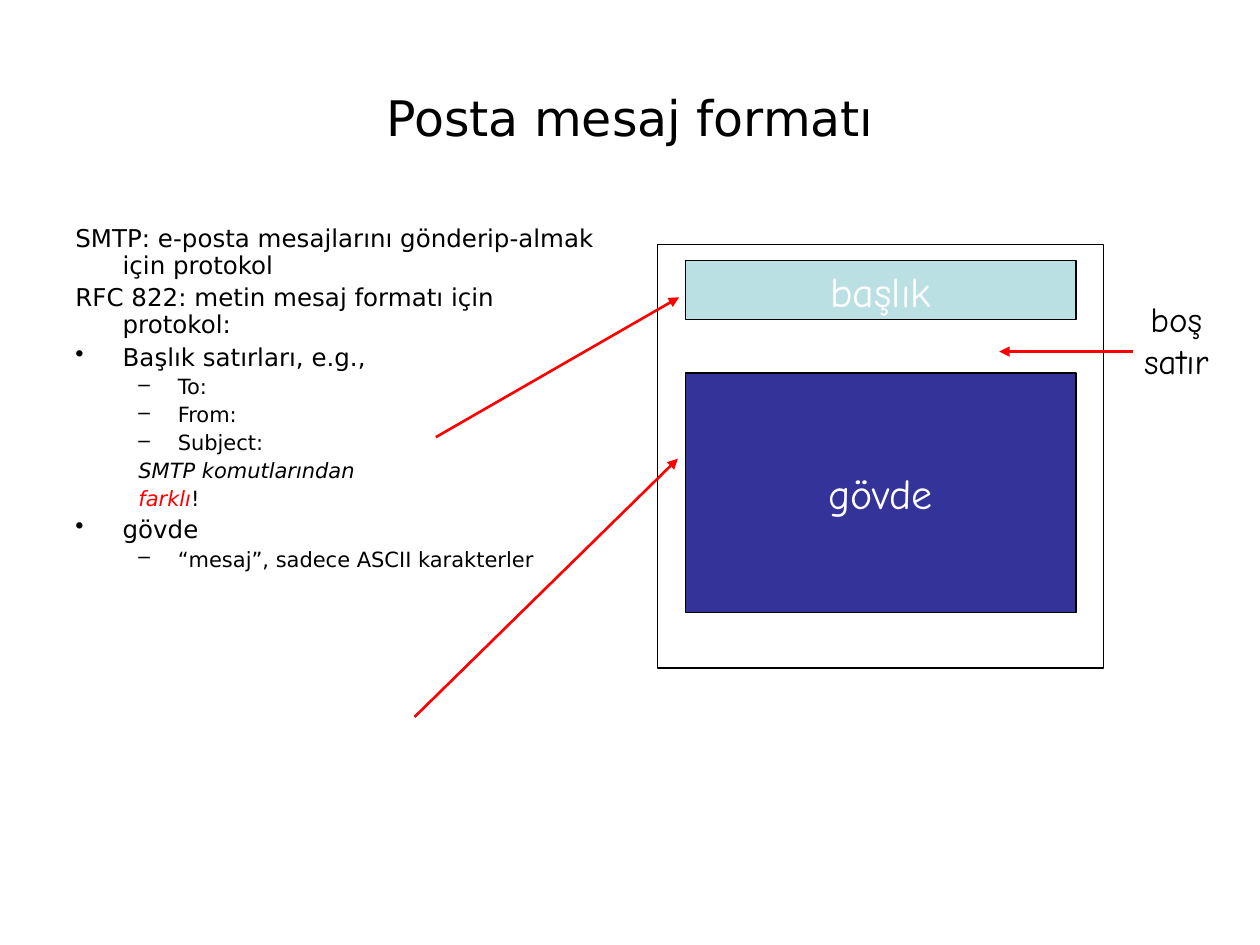
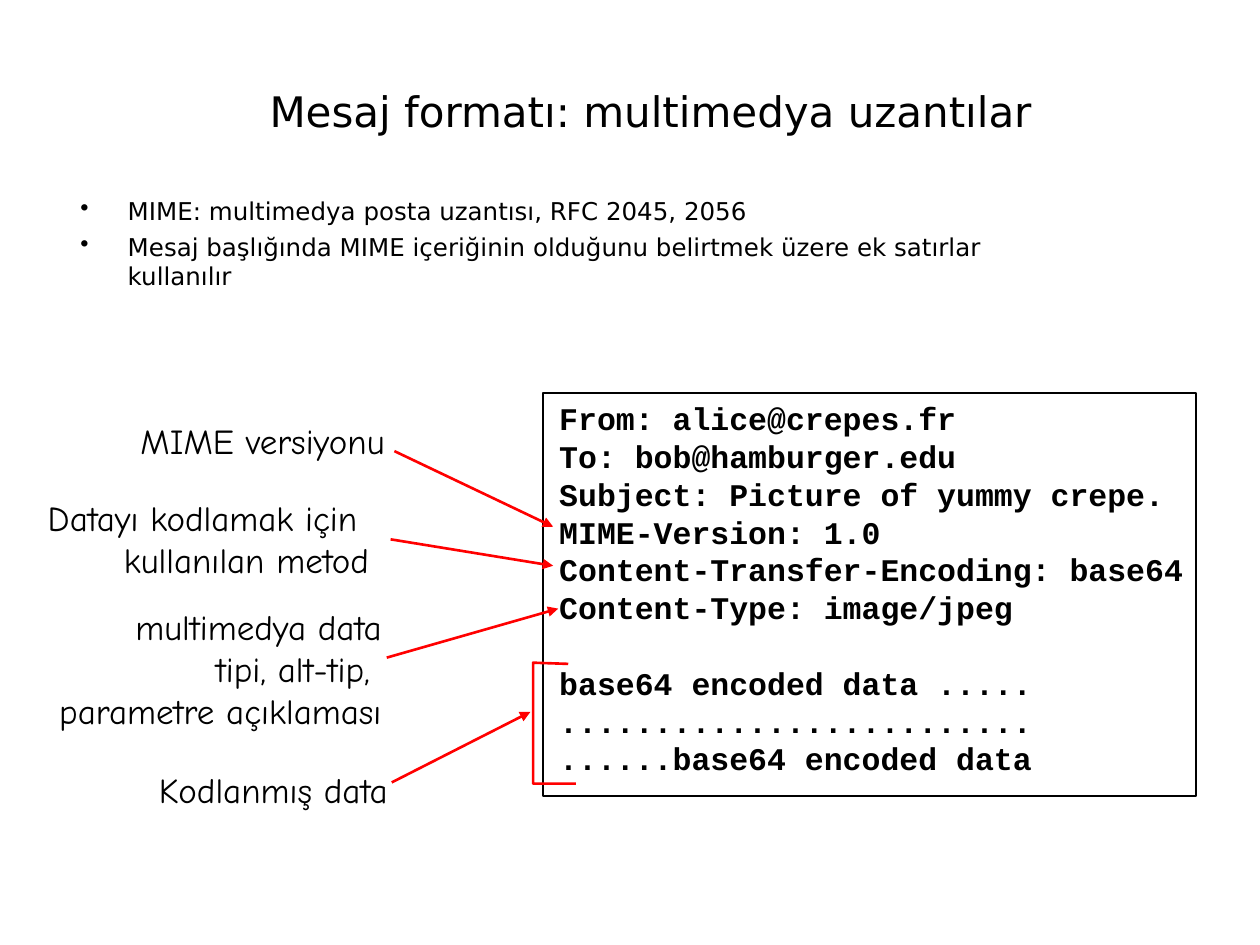
from lxml import etree
from pptx import Presentation
from pptx.dml.color import RGBColor
from pptx.enum.shapes import MSO_CONNECTOR, MSO_SHAPE
from pptx.enum.text import MSO_ANCHOR, PP_ALIGN
from pptx.oxml.ns import qn
from pptx.util import Pt

LEFT, CENTER, RIGHT = PP_ALIGN.LEFT, PP_ALIGN.CENTER, PP_ALIGN.RIGHT
TOP, MIDDLE = MSO_ANCHOR.TOP, MSO_ANCHOR.MIDDLE
STRAIGHT, RECTANGLE = MSO_CONNECTOR.STRAIGHT, MSO_SHAPE.RECTANGLE

COLORS = {"text": "000000", "accent": "FF0000", "light": "FFFFFF",
          "header": "BBE0E3", "body": "333399"}
SANS, HAND, MONO = "DejaVu Sans", "Comic Neue", "Courier New"

# Outline styles: font size, left margin, hanging indent, space before, bullet
OUTLINE = {
    "plain": (14, 27, -27, 3.5, None),
    "bullet": (14, 27, -27, 3.5, "•"),
    "dash": (12, 58.5, -22.5, 3, "–"),
    "note": (12, 58.5, -22.5, 3, None),
}

# Outline items: style, then spans of (text, colour, italic)
FORMAT_ITEMS = [
    ("plain", [("SMTP: e-posta mesajlarını gönderip-almak için protokol", "text", False)]),
    ("plain", [("RFC 822: metin mesaj formatı için protokol:", "text", False)]),
    ("bullet", [("Başlık satırları, e.g.,", "text", False)]),
    ("dash", [("To:", "text", False)]),
    ("dash", [("From:", "text", False)]),
    ("dash", [("Subject:", "text", False)]),
    ("note", [("SMTP komutlarından", "text", True)]),
    ("note", [("farklı", "accent", True), ("!", "text", False)]),
    ("bullet", [("gövde", "text", False)]),
    ("dash", [("“mesaj”, sadece ASCII karakterler", "text", False)]),
]
MIME_ITEMS = [
    ("bullet", [("MIME: multimedya posta uzantısı, RFC 2045, 2056", "text", False)]),
    ("bullet", [("Mesaj başlığında MIME içeriğinin olduğunu belirtmek üzere "
                 "ek satırlar kullanılır", "text", False)]),
]

# Places are left, top, width, height
MESSAGE_FRAME = (375.8, 139.7, 254.9, 241.9)
MESSAGE_PARTS = [
    ("başlık", "header", (391.7, 149, 223.2, 33.8)),
    ("gövde", "body", (391.7, 213.1, 223.2, 136.8)),
]
BLANK_LINE_LABEL = (["boş", "satır"], CENTER, (646.6, 166.3, 51.1, 55.4))
FORMAT_ARROWS = [
    ((249.1, 249.8), (388.1, 169.9)),
    ((236.9, 409.7), (387.4, 262.1)),
    ((647.3, 200.9), (571, 200.9)),
]

MAIL_BLOCKS = [
    ["From: alice@crepes.fr", "To: bob@hamburger.edu",
     "Subject: Picture of yummy crepe.", "MIME-Version: 1.0",
     "Content-Transfer-Encoding: base64", "Content-Type: image/jpeg"],
    ["base64 encoded data .....", ".........................",
     "......base64 encoded data"],
]
MAIL_LINE = 21.6
MAIL_TEXT = (312.5, 224.6, 391.7, 244.8)
MAIL_FRAME = (310.3, 224.6, 373, 230.4)
MAIL_LABELS = [
    (["MIME versiyonu"], CENTER, (72.7, 236.2, 154.8, 31.7)),
    (["Datayı kodlamak için ", "kullanılan metod"], RIGHT, (19.4, 280.1, 198.7, 55.4)),
    (["multimedya data", "tipi, alt-tip, ", "parametre açıklaması"], RIGHT,
     (25.9, 342.7, 199.4, 79.2)),
    (["Kodlanmış data"], CENTER, (83.5, 435.6, 145.4, 31.7)),
]
MAIL_ARROWS = [
    ((225.4, 257.8), (316.1, 301)),
    ((223.2, 308.2), (316.1, 323.3)),
    ((221, 375.8), (319, 347.8)),
    ((223.9, 447.1), (303.1, 406.8)),
]
DATA_BRACKET = [(324.7, 379.4), (304.6, 378.7), (304.6, 447.8), (329, 447.8)]


def rgb(name):
    return RGBColor.from_string(COLORS[name])


def points(values):
    return [Pt(value) for value in values]


def add_box(page, place, anchor=TOP, wrap=True):
    box = page.shapes.add_textbox(*points(place))
    box.text_frame.word_wrap = wrap
    box.text_frame.vertical_anchor = anchor
    return box.text_frame


def next_para(frame, index):
    return frame.add_paragraph() if index else frame.paragraphs[0]


def add_span(para, text, font, size, color="text", bold=False, italic=False):
    span = para.add_run()
    span.text = text
    span.font.name, span.font.size = font, Pt(size)
    span.font.bold, span.font.italic = bold, italic
    span.font.color.rgb = rgb(color)


def add_title(page, text, size, place):
    para = add_box(page, place, MIDDLE).paragraphs[0]
    para.alignment = CENTER
    add_span(para, text, SANS, size)


def set_indent(para, margin, indent, bullet):
    properties = para._p.get_or_add_pPr()
    properties.set("marL", str(Pt(margin)))
    properties.set("indent", str(Pt(indent)))
    if bullet:
        etree.SubElement(properties, qn("a:buChar")).set("char", bullet)
    else:
        etree.SubElement(properties, qn("a:buNone"))


def add_outline(page, items, place, spacing):
    frame = add_box(page, place)
    for index, (style, spans) in enumerate(items):
        size, margin, indent, before, bullet = OUTLINE[style]
        para = next_para(frame, index)
        set_indent(para, margin, indent, bullet)
        para.line_spacing = spacing
        if index:
            para.space_before = Pt(before)
        for text, color, italic in spans:
            add_span(para, text, SANS, size, color, italic=italic)


def add_label(page, lines, alignment, place):
    frame = add_box(page, place, wrap=False)
    for index, line in enumerate(lines):
        para = next_para(frame, index)
        para.alignment = alignment
        para.line_spacing = Pt(24)
        add_span(para, line, HAND, 20)


def style_outline(shape, color, width):
    shape.shadow.inherit = False
    shape.line.color.rgb = rgb(color)
    shape.line.width = Pt(width)


def add_rectangle(page, place, fill=None, width=1):
    shape = page.shapes.add_shape(RECTANGLE, *points(place))
    style_outline(shape, "text", width)
    if fill:
        shape.fill.solid()
        shape.fill.fore_color.rgb = rgb(fill)
    else:
        shape.fill.background()
    return shape


def add_arrow(page, start, end):
    arrow = page.shapes.add_connector(STRAIGHT, *points(start + end))
    arrow.line.color.rgb = rgb("accent")
    arrow.line.width = Pt(1.5)
    etree.SubElement(arrow.line._get_or_add_ln(), qn("a:tailEnd")).set("type", "triangle")
    etree.SubElement(arrow._element.spPr, qn("a:effectLst"))


def add_mail_text(page):
    frame = add_box(page, MAIL_TEXT)
    index = 0
    for block in MAIL_BLOCKS:
        for row, line in enumerate(block):
            para = next_para(frame, index)
            para.line_spacing = Pt(MAIL_LINE)
            if index and row == 0:
                para.space_before = Pt(MAIL_LINE)
            add_span(para, line, MONO, 18, bold=True)
            index += 1


def add_bracket(page):
    start, *rest = [tuple(points(corner)) for corner in DATA_BRACKET]
    builder = page.shapes.build_freeform(*start)
    builder.add_line_segments(rest, close=False)
    bracket = builder.convert_to_shape()
    bracket.fill.background()
    style_outline(bracket, "accent", 1.5)


def build_format_page(page):
    add_title(page, "Posta mesaj formatı", 28, (36, 21.6, 648, 90))
    add_outline(page, FORMAT_ITEMS, (36, 126, 317.5, 356.4), 0.9)
    for text, fill, place in MESSAGE_PARTS:
        frame = add_rectangle(page, place, fill, 0.75).text_frame
        frame.word_wrap = False
        frame.vertical_anchor = MIDDLE
        para = frame.paragraphs[0]
        para.alignment = CENTER
        add_span(para, text, HAND, 24, "light")
    add_rectangle(page, MESSAGE_FRAME)
    add_label(page, *BLANK_LINE_LABEL)
    for start, end in FORMAT_ARROWS:
        add_arrow(page, start, end)


def build_mime_page(page):
    add_title(page, "Mesaj formatı: multimedya uzantılar", 24, (41.8, 18, 660.2, 90))
    add_outline(page, MIME_ITEMS, (38.9, 108.7, 576.7, 365.8), 1.0)
    add_mail_text(page)
    add_rectangle(page, MAIL_FRAME)
    for label in MAIL_LABELS:
        add_label(page, *label)
    for start, end in MAIL_ARROWS:
        add_arrow(page, start, end)
    add_bracket(page)


def main():
    deck = Presentation()
    deck.slide_width, deck.slide_height = Pt(720), Pt(540)
    for build in (build_format_page, build_mime_page):
        build(deck.slides.add_slide(deck.slide_layouts[6]))
    deck.save("out.pptx")


if __name__ == "__main__":
    main()
